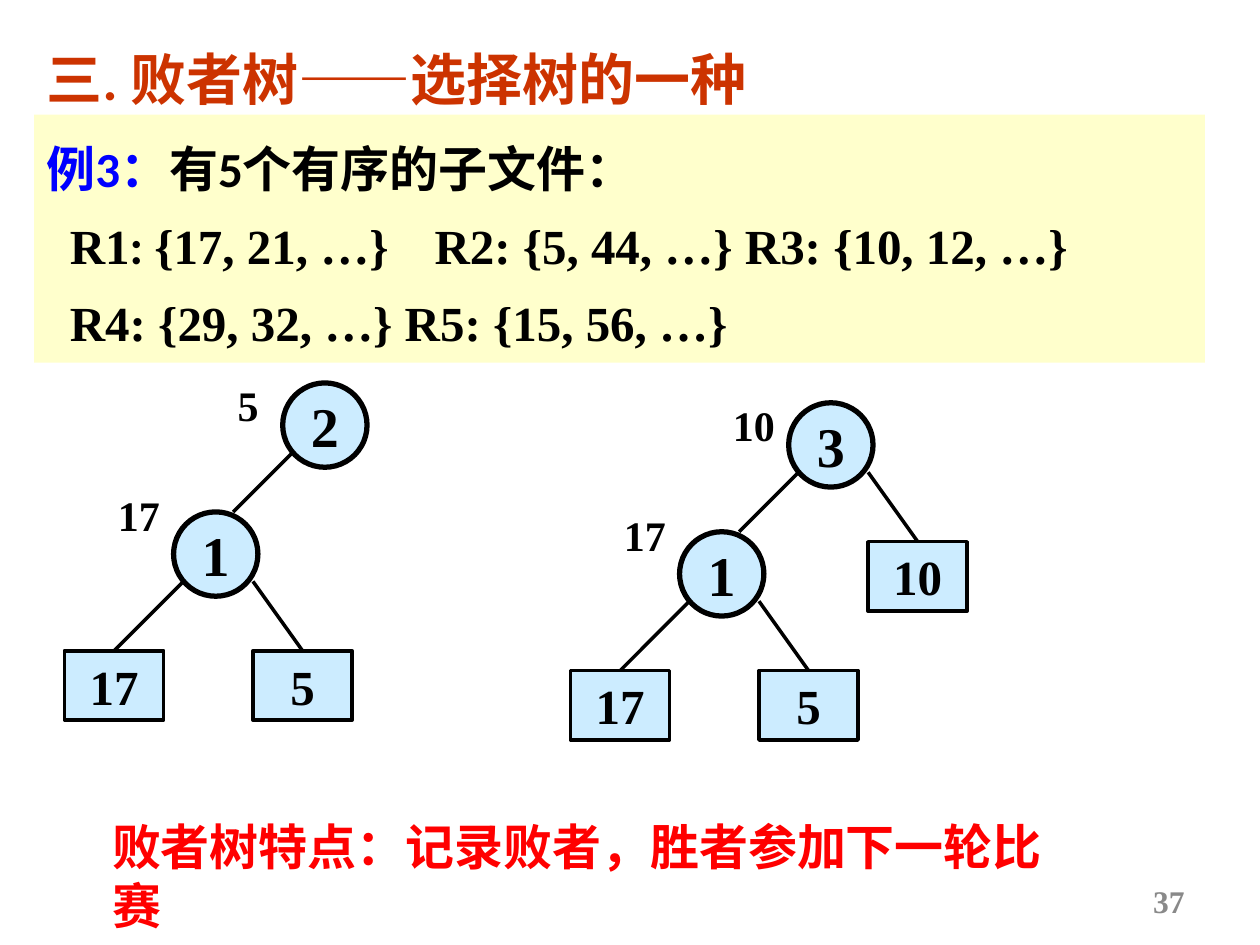
from dataclasses import dataclass
from typing import Optional, Union

from lxml.etree import SubElement
from pptx import Presentation
from pptx.dml.color import RGBColor
from pptx.enum.shapes import MSO_CONNECTOR, MSO_SHAPE
from pptx.enum.text import MSO_ANCHOR as Anchor, PP_ALIGN as Align
from pptx.oxml.ns import qn
from pptx.util import Cm, Pt


@dataclass(frozen=True)
class Theme:
    title: str = "CC3300"
    example: str = "0000FF"
    ink: str = "000000"
    conclusion: str = "FF0000"
    number: str = "898989"
    panel: str = "FFFFCC"
    node: str = "CCECFF"
    serif: str = "Times New Roman"
    sans: str = "Calibri"
    chinese: str = "Noto Sans CJK JP"
    large: int = 32
    body: int = 28
    label: int = 24
    small: int = 18
    circle_line: int = 3
    line: int = 2


@dataclass(frozen=True)
class Match:
    loser: str
    winner: str
    label_rise: float
    left: Union["Match", str, None] = None
    right: Optional[str] = None


THEME = Theme()
CIRCLE = 1.7
LEAF_WIDTH, LEAF_HEIGHT = 2.0, 1.4
LEVEL = 2.8


def style_font(font, size, name, color):
    font.size = Pt(size)
    font.name = name
    font.bold = True
    font.color.rgb = RGBColor.from_string(color)


def set_chinese_font(paragraph):
    for run in paragraph.runs:
        properties = run._r.get_or_add_rPr()
        SubElement(properties, qn("a:ea"), typeface=THEME.chinese)


def write(shape, text, size, name, color, align=Align.LEFT, anchor=Anchor.TOP, wrap=True):
    frame = shape.text_frame
    frame.word_wrap = wrap
    frame.vertical_anchor = anchor
    paragraph = frame.paragraphs[0]
    paragraph.text = text
    paragraph.alignment = align
    style_font(paragraph.font, size, name, color)
    set_chinese_font(paragraph)


def add_text(shapes, box, *text_style, **layout):
    shape = shapes.add_textbox(*map(Cm, box))
    write(shape, *text_style, **layout)


def add_filled(shapes, preset, box, fill):
    shape = shapes.add_shape(preset, *map(Cm, box))
    shape.shadow.inherit = False
    shape.fill.solid()
    shape.fill.fore_color.rgb = RGBColor.from_string(fill)
    shape.line.fill.background()
    return shape


def add_node(shapes, preset, box, text, size, line_width, wrap):
    shape = add_filled(shapes, preset, box, THEME.node)
    shape.line.color.rgb = RGBColor.from_string(THEME.ink)
    shape.line.width = Pt(line_width)
    write(shape, text, size, THEME.serif, THEME.ink, Align.CENTER, Anchor.MIDDLE, wrap)


def add_leaf(shapes, x, y, key):
    box = (x, y, LEAF_WIDTH, LEAF_HEIGHT)
    add_node(shapes, MSO_SHAPE.RECTANGLE, box, key, THEME.body, THEME.line, True)


def add_edge(shapes, *ends):
    edge = shapes.add_connector(MSO_CONNECTOR.STRAIGHT, *map(Cm, ends))
    edge.line.color.rgb = RGBColor.from_string(THEME.ink)
    edge.line.width = Pt(THEME.line)
    SubElement(edge._element.spPr, qn("a:effectLst"))


def add_match(shapes, x, y, match):
    circle = (x, y, CIRCLE, CIRCLE)
    add_node(shapes, MSO_SHAPE.OVAL, circle, match.loser, THEME.large, THEME.circle_line, False)
    add_text(shapes, (x - 1.4, y - match.label_rise, 1.4, 1.27), match.winner,
             THEME.label, THEME.serif, THEME.ink, align=Align.CENTER)
    edge_top, leaf_top = y + 1.4, y + LEVEL
    if isinstance(match.left, Match):
        child_top = y + 2.6
        add_edge(shapes, x + 0.2, edge_top, x - 1, child_top)
        add_match(shapes, x - 2.2, child_top, match.left)
    else:
        add_edge(shapes, x + 0.2, edge_top, x - 1.2, leaf_top)
        add_leaf(shapes, x - 2.2, leaf_top, match.left)
    if match.right:
        add_edge(shapes, x + 1.6, edge_top, x + 2.6, leaf_top)
        add_leaf(shapes, x + 1.6, leaf_top, match.right)


def add_tree(slide, left, top, root):
    group = slide.shapes.add_group_shape()
    add_match(group.shapes, left + 4.4, top + 0.2, root)


def add_example(slide, box):
    panel = add_filled(slide.shapes, MSO_SHAPE.RECTANGLE, box, THEME.panel)
    frame = panel.text_frame
    frame.word_wrap = True
    frame.vertical_anchor = Anchor.TOP
    frame.margin_top = Cm(0.25)
    heading = [("例3：", THEME.sans, THEME.example),
               ("有5个有序的子文件：", THEME.sans, THEME.ink)]
    first_files = [("R1", THEME.serif, THEME.ink),
                   (": ", THEME.sans, THEME.ink),
                   ("{17, 21, …}\tR2: {5, 44, …} R3: {10, 12, …}", THEME.serif, THEME.ink)]
    last_files = [("R4: {29, 32, …} R5: {15, 56, …}", THEME.serif, THEME.ink)]
    for index, parts in enumerate([heading, first_files, last_files]):
        paragraph = frame.paragraphs[0] if index == 0 else frame.add_paragraph()
        paragraph.alignment = Align.LEFT
        paragraph.line_spacing = 1.2
        if index:
            paragraph.space_before = Pt(3.5)
            properties = paragraph._p.get_or_add_pPr()
            properties.set("marL", str(Cm(0.47)))
            tabs = SubElement(properties, qn("a:tabLst"))
            SubElement(tabs, qn("a:tab"), pos=str(Cm(7.35)), algn="l")
        for text, name, color in parts:
            run = paragraph.add_run()
            run.text = text
            style_font(run.font, THEME.body, name, color)
        set_chinese_font(paragraph)


def build_slide(presentation):
    slide = presentation.slides.add_slide(presentation.slide_layouts[6])
    add_text(slide.shapes, (18.2, 17.65, 5.93, 1.01), "37", THEME.small, THEME.serif,
             THEME.number, align=Align.RIGHT, anchor=Anchor.MIDDLE)
    add_text(slide.shapes, (0.69, 0.53, 15.4, 2.1), "三. 败者树——选择树的一种",
             THEME.large, THEME.sans, THEME.title, anchor=Anchor.MIDDLE)
    add_example(slide, (0.69, 2.31, 23.6, 5))
    first_match = Match("1", "17", 0.58, "17", "5")
    add_tree(slide, 1.3, 7.52, Match("2", "5", 0.2, first_match))
    add_tree(slide, 11.5, 7.92, Match("3", "10", 0.2, first_match, "10"))
    add_text(slide.shapes, (2.01, 16.33, 20.22, 1.45), "败者树特点：记录败者，胜者参加下一轮比赛",
             THEME.body, THEME.chinese, THEME.conclusion, wrap=False)


def main():
    presentation = Presentation()
    presentation.slide_width = Cm(25.4)
    presentation.slide_height = Cm(19.05)
    build_slide(presentation)
    presentation.save("out.pptx")


if __name__ == "__main__":
    main()
